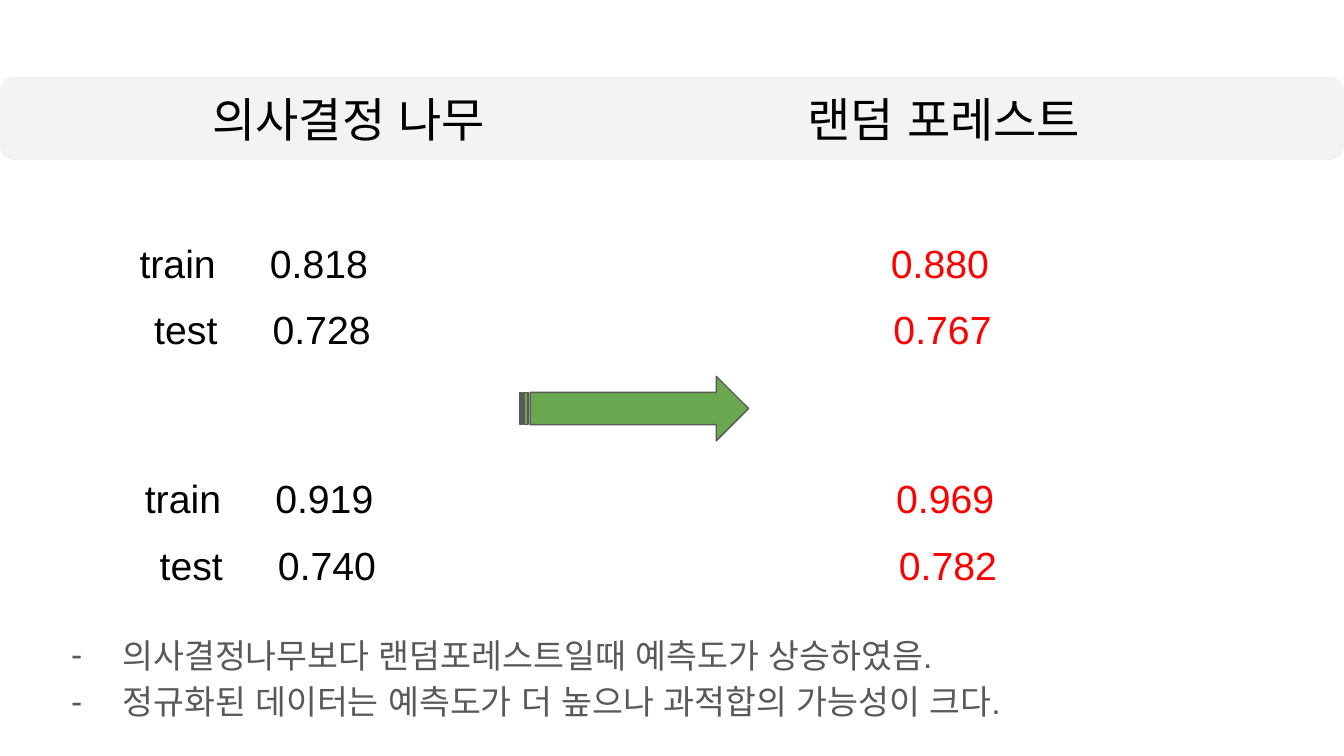
import pptx
import pptx.dml.color
import pptx.enum.shapes
import pptx.enum.text
import pptx.oxml
import pptx.oxml.ns
import pptx.util
from pptx.util import Inches

HEADINGS = [("의사결정 나무", 1.48), ("랜덤 포레스트", 5.91)]
SCORES = [
    ("train", "0.818", "0.880", 1.68),
    ("test", "0.728", "0.767", 2.17),
    ("train", "0.919", "0.969", 3.43),
    ("test", "0.740", "0.782", 3.93),
]
NOTES = [
    "의사결정나무보다 랜덤포레스트일때 예측도가 상승하였음.",
    "정규화된 데이터는 예측도가 더 높으나 과적합의 가능성이 크다.",
]
COLORS = {
    "band": "F3F3F3",
    "text": "000000",
    "better": "FF0000",
    "note": "595959",
    "arrow": "6AA84F",
}
FONT = "Arial"
PAGE_WIDTH = 10
PAGE_HEIGHT = PAGE_WIDTH * 9 / 16
BAND_TOP, BAND_HEIGHT = 0.57, 0.62
ROW_LEFT, ROW_SHIFT = 0.94, 0.02
TAB_STOPS = [("r", 0.56), ("l", 0.97), ("l", 5.59)]


def rgb(name):
    return pptx.dml.color.RGBColor.from_string(COLORS[name])


def add_element(parent, tag, **attributes):
    element = pptx.oxml.parse_xml(f"<a:{tag} {pptx.oxml.ns.nsdecls('a')}/>")
    for key, value in attributes.items():
        element.set(key, str(value))
    parent.append(element)
    return element


def write(para, text, size, color="text"):
    span = para.add_run()
    span.text = text
    span.font.name = FONT
    span.font.size = pptx.util.Pt(size)
    span.font.color.rgb = rgb(color)
    for script in ("ea", "cs"):
        add_element(span._r.get_or_add_rPr(), script, typeface=FONT)


def place(box, left, top, width, height, anchor="TOP"):
    box.left, box.top = Inches(left), Inches(top)
    box.width, box.height = Inches(width), Inches(height)
    frame = box.text_frame
    frame.word_wrap = True
    frame.auto_size = pptx.enum.text.MSO_AUTO_SIZE.NONE
    frame.vertical_anchor = pptx.enum.text.MSO_ANCHOR[anchor]
    frame.margin_left = frame.margin_right = Inches(0.1)
    frame.margin_top = frame.margin_bottom = Inches(0.1)
    return frame


def add_shape(page, kind, left, top, width, height, fill):
    shape = page.shapes.add_shape(
        pptx.enum.shapes.MSO_SHAPE[kind],
        Inches(left), Inches(top), Inches(width), Inches(height))
    shape.shadow.inherit = False
    shape.fill.solid()
    shape.fill.fore_color.rgb = rgb(fill)
    return shape


def add_headings(page):
    band = add_shape(page, "ROUNDED_RECTANGLE", 0, BAND_TOP, PAGE_WIDTH, BAND_HEIGHT, "band")
    band.line.fill.background()
    band.element.getparent().insert(2, band.element)
    boxes = [page.shapes.title, page.shapes.add_textbox(0, 0, 0, 0)]
    for box, (text, left) in zip(boxes, HEADINGS):
        frame = place(box, left, BAND_TOP, 2.68, BAND_HEIGHT, "MIDDLE")
        para = frame.paragraphs[0]
        para.alignment = pptx.enum.text.PP_ALIGN.LEFT
        write(para, text, 25.2)


def add_scores(page):
    for index, (label, tree, forest, top) in enumerate(SCORES):
        box = page.shapes.add_textbox(0, 0, 0, 0)
        frame = place(box, ROW_LEFT + index * ROW_SHIFT, top, 7.54, 0.56)
        para = frame.paragraphs[0]
        tabs = add_element(para._p.get_or_add_pPr(), "tabLst")
        for align, position in TAB_STOPS:
            add_element(tabs, "tab", pos=Inches(position), algn=align)
        write(para, f"\t{label}\t{tree}\t", 21)
        write(para, forest, 21, color="better")


def add_arrow(page):
    arrow = add_shape(page, "STRIPED_RIGHT_ARROW", 3.87, 2.8, 1.7, 0.48, "arrow")
    arrow.line.color.rgb = rgb("note")
    arrow.line.width = pptx.util.Pt(0.75)
    add_element(arrow.line._get_or_add_ln(), "round")


def add_notes(page):
    frame = place(page.placeholders[1], 0.31, 4.58, 9.1, 0.85)
    for index, text in enumerate(NOTES):
        para = frame.add_paragraph() if index else frame.paragraphs[0]
        properties = para._p.get_or_add_pPr()
        properties.set("marL", str(Inches(0.5)))
        properties.set("indent", str(Inches(-0.38)))
        bullet_color = add_element(properties, "buClr")
        add_element(bullet_color, "srgbClr", val=COLORS["note"])
        add_element(properties, "buFont", typeface=FONT)
        add_element(properties, "buChar", char="-")
        para.line_spacing = 1.15
        para.space_before = pptx.util.Pt(0)
        write(para, text, 18, color="note")


def main():
    deck = pptx.Presentation()
    deck.slide_width, deck.slide_height = Inches(PAGE_WIDTH), Inches(PAGE_HEIGHT)
    page = deck.slides.add_slide(deck.slide_layouts.get_by_name("Title and Content"))
    add_headings(page)
    add_scores(page)
    add_arrow(page)
    add_notes(page)
    deck.save("out.pptx")


if __name__ == "__main__":
    main()
